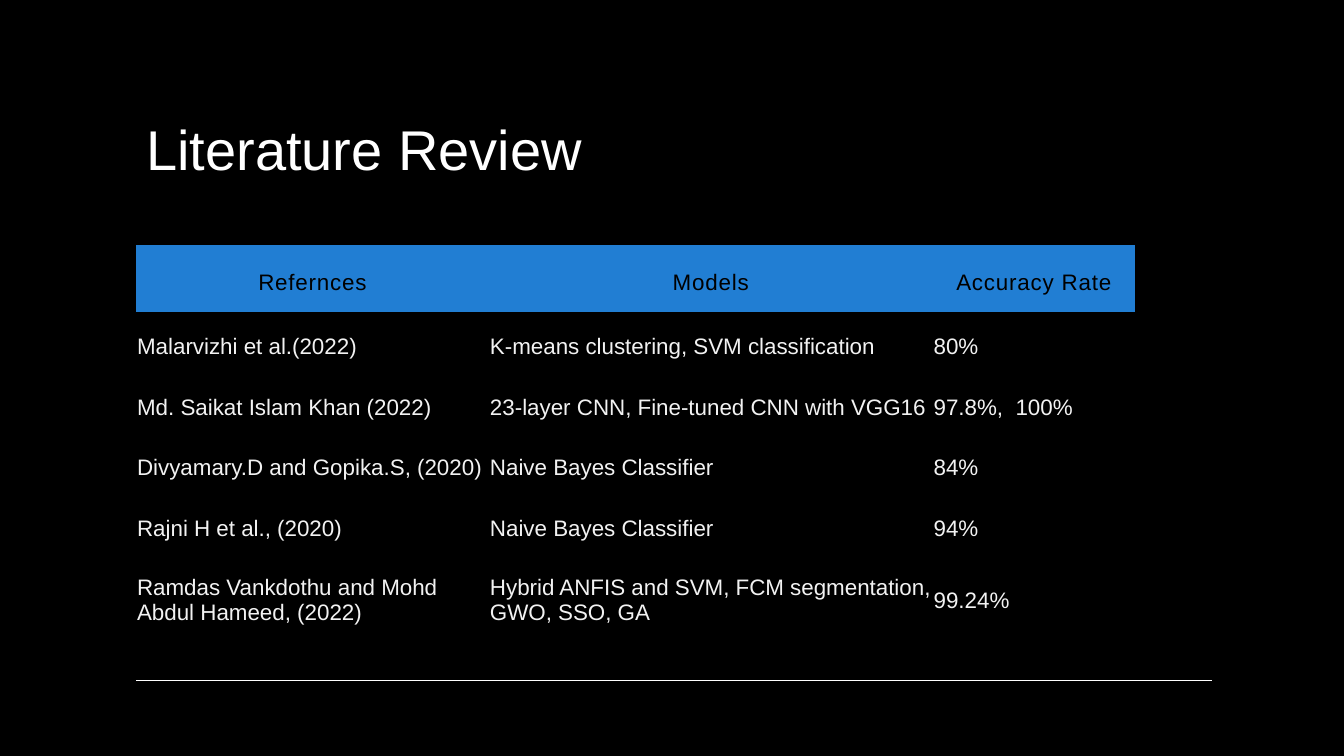
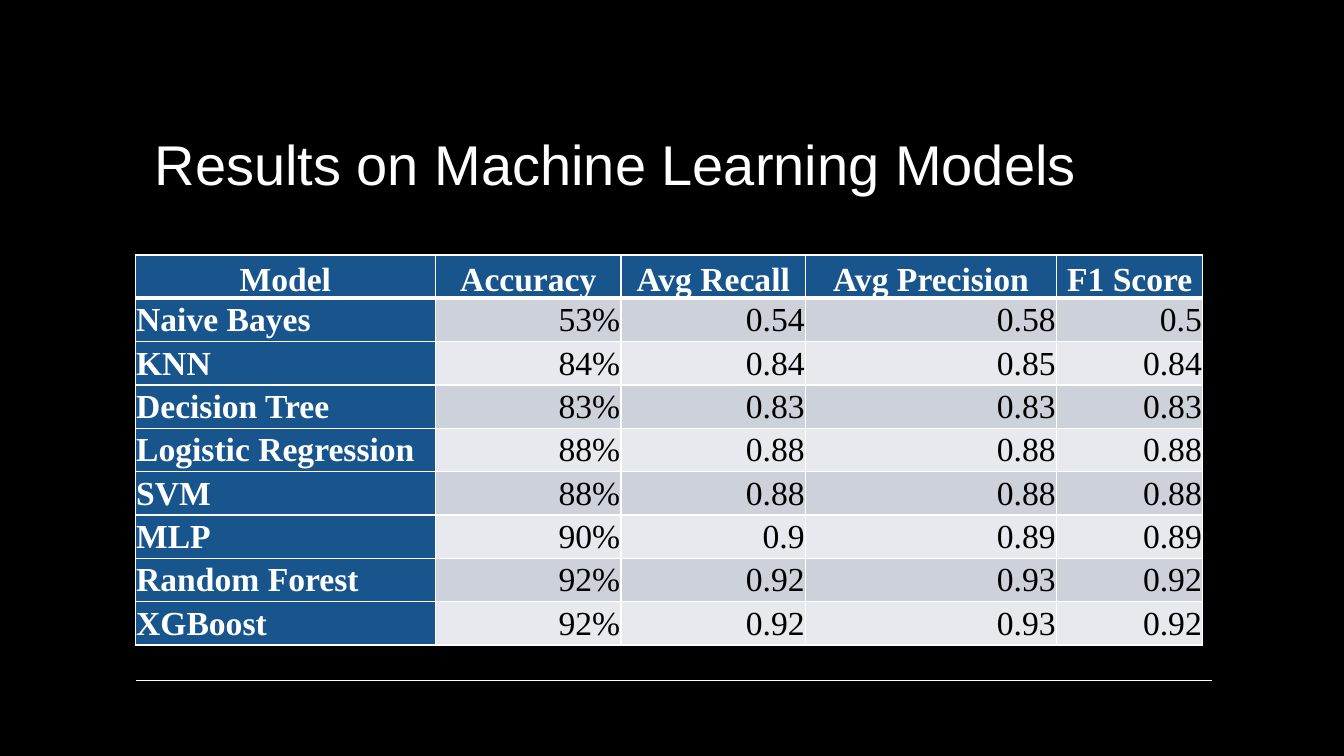
from pptx import Presentation
from pptx.dml.color import RGBColor
from pptx.enum.shapes import MSO_CONNECTOR as Link, MSO_SHAPE as Shape
from pptx.enum.text import MSO_ANCHOR as Anchor, PP_ALIGN as Align
from pptx.oxml.ns import qn
from pptx.util import Inches, Pt
from lxml.etree import SubElement as Sub

BLACK, WHITE, PALE = "000000", "FFFFFF", "F2F2F2"
BLUE, NAVY = "217ED3", "18558C"
BANDS = ["CCD1DA", "E8E9EE"]
SANS, SERIF = "Arial", "Times New Roman"
LEFT = 1.35

PAPERS = [
    ["Refernces", "Models", "Accuracy Rate"],
    ["Malarvizhi et al.(2022)", "K-means clustering, SVM classification", "80%"],
    ["Md. Saikat Islam Khan (2022)", "23-layer CNN, Fine-tuned CNN with VGG16", "97.8%,  100%"],
    ["Divyamary.D and Gopika.S, (2020)", "Naive Bayes Classifier", "84%"],
    ["Rajni H et al., (2020)", "Naive Bayes Classifier", "94%"],
    ["Ramdas Vankdothu and Mohd Abdul Hameed, (2022)",
     "Hybrid ANFIS and SVM, FCM segmentation, GWO, SSO, GA", "99.24%"],
]
SCORES = [
    ["Model", "Accuracy", "Avg Recall", "Avg Precision", "F1 Score"],
    ["Naive Bayes", "53%", "0.54", "0.58", "0.5"],
    ["KNN", "84%", "0.84", "0.85", "0.84"],
    ["Decision Tree", "83%", "0.83", "0.83", "0.83"],
    ["Logistic Regression", "88%", "0.88", "0.88", "0.88"],
    ["SVM", "88%", "0.88", "0.88", "0.88"],
    ["MLP", "90%", "0.9", "0.89", "0.89"],
    ["Random Forest", "92%", "0.92", "0.93", "0.92"],
    ["XGBoost", "92%", "0.92", "0.93", "0.92"],
]


def paint(target, color):
    target.solid()
    target.fore_color.rgb = RGBColor.from_string(color)


def style(para, face, size, color, bold=False, align=Align.LEFT):
    para.alignment = align
    font = para.font
    font.name, font.size, font.bold = face, Pt(size), bold
    paint(font.fill, color)


def edge(cell, top, base):
    props = cell._tc.get_or_add_tcPr()
    for side, width in zip("LRTB", (1, 1, top, base)):
        line = Sub(props, qn(f"a:ln{side}"), w=str(Pt(width)))
        fill = Sub(line, qn("a:solidFill"))
        Sub(fill, qn("a:srgbClr"), val=WHITE)


def clear(cell):
    props = cell._tc.get_or_add_tcPr()
    for side in "LRTB":
        Sub(Sub(props, qn(f"a:ln{side}"), w="0"), qn("a:noFill"))


def cover(deck, slide):
    panel = slide.shapes.add_shape(
        Shape.RECTANGLE, 0, 0, deck.slide_width, deck.slide_height)
    panel.shadow.inherit = False
    paint(panel.fill, BLACK)
    panel.line.fill.background()
    slide.shapes.title._element.addprevious(panel._element)


def frame(deck, text, top, align):
    slide = deck.slides.add_slide(deck.slide_layouts[5])
    paint(slide.background.fill, BLACK)
    cover(deck, slide)
    title = slide.shapes.title
    title.left, title.top = Inches(LEFT), Inches(top)
    title.width, title.height = Inches(9.5), Inches(1.1)
    title.text_frame.text = text
    title.text_frame.vertical_anchor = Anchor.BOTTOM
    style(title.text_frame.paragraphs[0], SANS, 40, WHITE, align=align)
    rule = slide.shapes.add_connector(
        Link.STRAIGHT, Inches(LEFT), Inches(6.75), Inches(12.02), Inches(6.75))
    paint(rule.line.fill, WHITE)
    rule.line.width = Pt(1)
    Sub(rule._element.spPr, qn("a:effectLst"))
    return slide


def grid(slide, data, left, top, cols, rows, inset, dress):
    table = slide.shapes.add_table(
        len(rows), len(cols), Inches(left), Inches(top),
        Inches(sum(cols)), Inches(sum(rows))).table
    table.first_row = table.horz_banding = False
    for col, width in zip(table.columns, cols):
        col.width = Inches(width)
    for row, height in zip(table.rows, rows):
        row.height = Inches(height)
    for r, line in enumerate(data):
        for c, text in enumerate(line):
            cell = table.cell(r, c)
            cell.text = text
            cell.margin_left = cell.margin_right = Inches(0.01)
            cell.margin_top, cell.margin_bottom = Inches(inset), 0
            cell.vertical_anchor = Anchor.MIDDLE
            dress(cell, r, c)


def paper(cell, r, c):
    para = cell.text_frame.paragraphs[0]
    clear(cell)
    if r == 0:
        paint(cell.fill, BLUE)
        style(para, SANS, 16, BLACK, align=Align.CENTER)
        para.runs[0]._r.get_or_add_rPr().set("spc", "60")
    else:
        paint(cell.fill, BLACK)
        style(para, SANS, 16, PALE)


def score(cell, r, c):
    para = cell.text_frame.paragraphs[0]
    head = r == 0 or c == 0
    edge(cell, 3 if r == 1 else 1, 3 if r == 0 else 1)
    paint(cell.fill, NAVY if head else BANDS[(r - 1) % 2])
    if r == 0:
        cell.vertical_anchor = Anchor.BOTTOM
    align = Align.CENTER if r == 0 else Align.LEFT if c == 0 else Align.RIGHT
    style(para, SERIF, 24, WHITE if head else BLACK, head, align)


def review(deck):
    slide = frame(deck, "Literature Review", 0.75, Align.LEFT)
    rows = [0.67] + [0.6] * 4 + [0.83]
    grid(slide, PAPERS, LEFT, 2.43, [3.5, 4.4, 2.01], rows, 0.09, paper)


def results(deck):
    slide = frame(deck, "Results on Machine Learning Models", 0.9, Align.CENTER)
    cols = [2.98, 1.84, 1.83, 2.49, 1.45]
    rows = [0.43] * len(SCORES)
    grid(slide, SCORES, LEFT - 0.01, 2.53, cols, rows, 0.01, score)


def main():
    deck = Presentation()
    deck.slide_width, deck.slide_height = Inches(13.33), Inches(7.5)
    review(deck)
    results(deck)
    deck.save("out.pptx")


if __name__ == "__main__":
    main()
